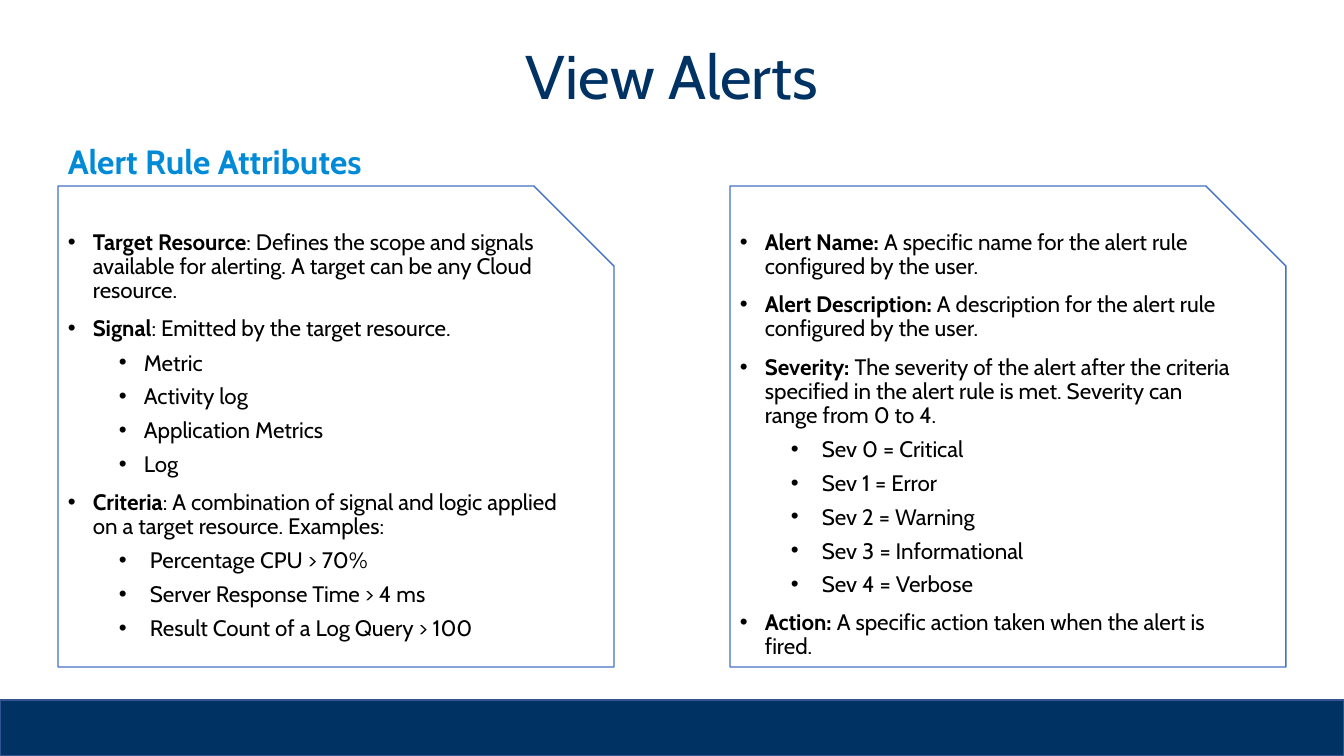
from pptx import Presentation
from pptx.dml.color import RGBColor
from pptx.enum.shapes import MSO_SHAPE
from pptx.enum.text import MSO_ANCHOR, PP_ALIGN
from pptx.oxml.ns import qn
from pptx.util import Pt
from lxml import etree

RECTANGLE = MSO_SHAPE.RECTANGLE
SNIPPED = MSO_SHAPE.SNIP_1_RECTANGLE
TOP, MIDDLE = MSO_ANCHOR.TOP, MSO_ANCHOR.MIDDLE
LEFT, CENTER = PP_ALIGN.LEFT, PP_ALIGN.CENTER

NAVY = RGBColor(0x00, 0x32, 0x64)
NAVY_EDGE = RGBColor(0x32, 0x54, 0x91)
BLUE = RGBColor(0x00, 0x8A, 0xD7)
PANEL_EDGE = RGBColor(0x44, 0x72, 0xC4)
WHITE = RGBColor(0xFF, 0xFF, 0xFF)
BLACK = RGBColor(0x00, 0x00, 0x00)
FONT = "Cabin"

TITLE = "View Alerts"
SUBTITLE = "Alert Rule Attributes"
MAIN_INDENT = (25, 25)
NARROW_INDENT = (76, 25)
WIDE_INDENT = (82, 31)

TARGET_ATTRIBUTES = [
    ("Target Resource", ": Defines the scope and signals available for alerting. "
     "A target can be any Cloud resource.", NARROW_INDENT, []),
    ("Signal", ": Emitted by the target resource.", NARROW_INDENT,
     ["Metric", "Activity log", "Application Metrics", "Log"]),
    ("Criteria", ": A combination of signal and logic applied on a target resource. "
     "Examples:", WIDE_INDENT,
     ["Percentage CPU > 70%", "Server Response Time > 4 ms",
      "Result Count of a Log Query > 100"]),
]
RULE_ATTRIBUTES = [
    ("Alert Name: ", "A specific name for the alert rule configured by the user.",
     WIDE_INDENT, []),
    ("Alert Description: ", "A description for the alert rule configured by the user.",
     WIDE_INDENT, []),
    ("Severity: ", "The severity of the alert after the criteria specified in the "
     "alert rule is met. Severity can range from 0 to 4.", WIDE_INDENT,
     ["Sev 0 = Critical", "Sev 1 = Error", "Sev 2 = Warning",
      "Sev 3 = Informational", "Sev 4 = Verbose"]),
    ("Action: ", "A specific action taken when the alert is fired.", WIDE_INDENT, []),
]

SLIDE_WIDTH, SLIDE_HEIGHT = 1344, 756
FOOTER_TOP = 700
PANEL_LEFT, PANEL_TOP, PANEL_WIDTH, PANEL_HEIGHT = 58, 186, 556, 481
PANEL_STEP = 672
EMU_PER_PX = 12192000 / SLIDE_WIDTH


def px(length):
    return round(length * EMU_PER_PX)


def box(*lengths):
    return [px(length) for length in lengths]


def add_panel(slide, kind, frame, fill, edge):
    shape = slide.shapes.add_shape(kind, *box(*frame))
    shape.shadow.inherit = False
    shape.fill.solid()
    shape.fill.fore_color.rgb = fill
    shape.line.color.rgb = edge
    shape.line.width = Pt(1)
    return shape


def style(paragraph, size, color):
    paragraph.font.name = FONT
    paragraph.font.size = Pt(size)
    paragraph.font.color.rgb = color


def add_heading(slide, text, frame, size, color, align, anchor):
    text_frame = slide.shapes.add_textbox(*box(*frame)).text_frame
    text_frame.word_wrap = True
    text_frame.vertical_anchor = anchor
    paragraph = text_frame.paragraphs[0]
    paragraph.text = text
    paragraph.alignment = align
    style(paragraph, size, color)
    return paragraph


def add_bullet(text_frame, runs, indent, level, spacing, before):
    first = not text_frame.paragraphs[0].runs
    paragraph = text_frame.paragraphs[0] if first else text_frame.add_paragraph()
    for text, bold in runs:
        run = paragraph.add_run()
        run.text = text
        run.font.bold = bold
    paragraph.level = level
    paragraph.alignment = LEFT
    paragraph.line_spacing = spacing
    paragraph.space_before = Pt(0 if first else before)
    margin, hanging = indent
    properties = paragraph._p.get_or_add_pPr()
    properties.set("marL", str(px(margin)))
    properties.set("indent", str(-px(hanging)))
    etree.SubElement(properties, qn("a:buFont")).set("typeface", "Arial")
    etree.SubElement(properties, qn("a:buChar")).set("char", "•")
    style(paragraph, 16, BLACK)


def add_attributes(slide, left, attributes):
    frame = (left, PANEL_TOP, PANEL_WIDTH, PANEL_HEIGHT)
    text_frame = add_panel(slide, SNIPPED, frame, WHITE, PANEL_EDGE).text_frame
    text_frame.word_wrap = True
    text_frame.vertical_anchor = TOP
    for name, description, detail_indent, details in attributes:
        add_bullet(text_frame, [(name, True), (description, False)],
                   MAIN_INDENT, 0, 0.9, 10)
        for detail in details:
            add_bullet(text_frame, [(detail, False)], detail_indent, 1, 1.0, 5)


def main():
    presentation = Presentation()
    presentation.slide_width, presentation.slide_height = box(SLIDE_WIDTH, SLIDE_HEIGHT)
    slide = presentation.slides.add_slide(presentation.slide_layouts[6])

    footer = (0, FOOTER_TOP, SLIDE_WIDTH, SLIDE_HEIGHT - FOOTER_TOP)
    add_panel(slide, RECTANGLE, footer, NAVY, NAVY_EDGE)
    title = add_heading(slide, TITLE, (0, 0, SLIDE_WIDTH, 146), 44, NAVY, CENTER, MIDDLE)
    title.line_spacing = 1.06
    for column, attributes in enumerate([TARGET_ATTRIBUTES, RULE_ATTRIBUTES]):
        add_attributes(slide, PANEL_LEFT + column * PANEL_STEP, attributes)
    subtitle = add_heading(slide, SUBTITLE, (PANEL_LEFT, 136, PANEL_STEP, 50),
                           24, BLUE, LEFT, TOP)
    subtitle.font.bold = True
    presentation.save("out.pptx")


if __name__ == "__main__":
    main()
